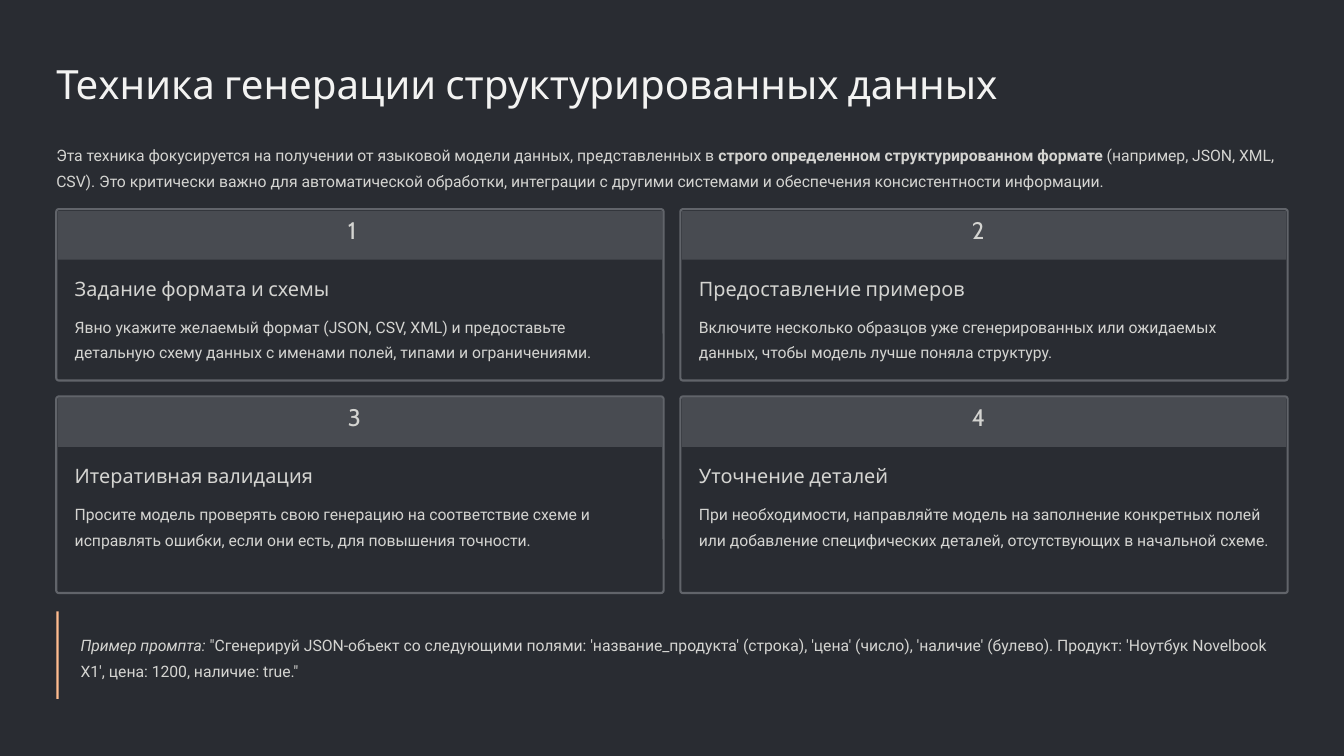
import pptx
import pptx.util
import pptx.dml.color
import pptx.enum.shapes
import pptx.enum.text

Inches, Pt = pptx.util.Inches, pptx.util.Pt
RGBColor = pptx.dml.color.RGBColor
SHAPE = pptx.enum.shapes.MSO_SHAPE

DARK = RGBColor(0x29, 0x2C, 0x32)
BAND = RGBColor(0x48, 0x4B, 0x51)
BORDER = RGBColor(0x61, 0x64, 0x6A)
WHITE = RGBColor(0xF3, 0xF3, 0xF2)
LIGHT = RGBColor(0xD4, 0xD4, 0xD1)
ACCENT = RGBColor(0xFF, 0xBC, 0x8F)

MARGIN, WIDTH = 0.67, 14.66
CARD_W, GAP = 7.23, 0.2
PAD, INSET = 0.22, 0.02
ROWS = [(2.49, 2.04), (4.72, 2.34)]

prs = pptx.Presentation()
prs.slide_width, prs.slide_height = Inches(16), Inches(9)
s = prs.slides.add_slide(prs.slide_layouts[5])
s.background.fill.solid()
s.background.fill.fore_color.rgb = DARK


def write(sp, x, y, w, h, runs, font, size, spacing, color=LIGHT):
    sp.left, sp.top, sp.width, sp.height = map(Inches, (x, y, w, h))
    tf = sp.text_frame
    tf.margin_left = tf.margin_top = tf.margin_right = tf.margin_bottom = 0
    tf.word_wrap = True
    tf.auto_size = pptx.enum.text.MSO_AUTO_SIZE.NONE
    tf.vertical_anchor = pptx.enum.text.MSO_ANCHOR.TOP
    p = tf.paragraphs[0]
    p.alignment = pptx.enum.text.PP_ALIGN.LEFT
    p.line_spacing = Pt(spacing)
    for text, style in runs:
        r = p.add_run()
        r.text = text
        r.font.name, r.font.size = font, Pt(size)
        r.font.color.rgb = color
        r.font.bold, r.font.italic = style == "bold", style == "italic"


def block(kind, x, y, w, h, fill):
    sp = s.shapes.add_shape(kind, *map(Inches, (x, y, w, h)))
    sp.shadow.inherit = False
    sp.fill.solid()
    sp.fill.fore_color.rgb = fill
    sp.line.fill.background()
    return sp


write(s.shapes.title, MARGIN, 0.68, WIDTH, 0.6,
      [("Техника генерации структурированных данных", "")], "Cabin", 34.5, 43, WHITE)

intro = [
    ("Эта техника фокусируется на получении от языковой модели данных, представленных в ", ""),
    ("строго определенном структурированном формате", "bold"),
    (" (например, JSON, XML, CSV). Это критически важно для автоматической обработки, "
     "интеграции с другими системами и обеспечения консистентности информации.", ""),
]
write(s.shapes.add_textbox(0, 0, 0, 0), MARGIN, 1.66, WIDTH, 0.61, intro, "Roboto", 13.5, 22)

cards = [
    ("Задание формата и схемы",
     "Явно укажите желаемый формат (JSON, CSV, XML) и предоставьте детальную схему данных "
     "с именами полей, типами и ограничениями."),
    ("Предоставление примеров",
     "Включите несколько образцов уже сгенерированных или ожидаемых данных, "
     "чтобы модель лучше поняла структуру."),
    ("Итеративная валидация",
     "Просите модель проверять свою генерацию на соответствие схеме и исправлять ошибки, "
     "если они есть, для повышения точности."),
    ("Уточнение деталей",
     "При необходимости, направляйте модель на заполнение конкретных полей или добавление "
     "специфических деталей, отсутствующих в начальной схеме."),
]
for i, (heading, body) in enumerate(cards):
    x = MARGIN + i % 2 * (CARD_W + GAP)
    y, h = ROWS[i // 2]
    card = block(SHAPE.ROUNDED_RECTANGLE, x, y, CARD_W, h, DARK)
    card.adjustments[0] = 0.03 / h
    card.line.color.rgb = BORDER
    card.line.width = Pt(1.8)
    block(SHAPE.RECTANGLE, x + INSET, y + INSET, CARD_W - 2 * INSET, 0.58, BAND)
    for text, dx, dy, w, th, font, size, spacing in [
        (str(i + 1), 3.47, 0.13, 0.29, 0.36, "Cabin", 20.5, 20.5),
        (heading, PAD, 0.79, 6.8, 0.3, "Cabin", 17, 21.5),
        (body, PAD, 1.21, 6.8, 0.61, "Roboto", 13.5, 22),
    ]:
        write(s.shapes.add_textbox(0, 0, 0, 0), x + dx, y + dy, w, th,
              [(text, "")], font, size, spacing)

example = [
    ("Пример промпта:", "italic"),
    (" \"Сгенерируй JSON-объект со следующими полями: 'название_продукта' (строка), "
     "'цена' (число), 'наличие' (булево). Продукт: 'Ноутбук Novelbook X1', "
     "цена: 1200, наличие: true.\"", ""),
]
write(s.shapes.add_textbox(0, 0, 0, 0), 0.96, 7.49, 14.37, 0.61, example, "Roboto", 13.5, 22)
block(SHAPE.RECTANGLE, MARGIN, 7.28, 0.03, 1.04, ACCENT)

prs.save("out.pptx")
